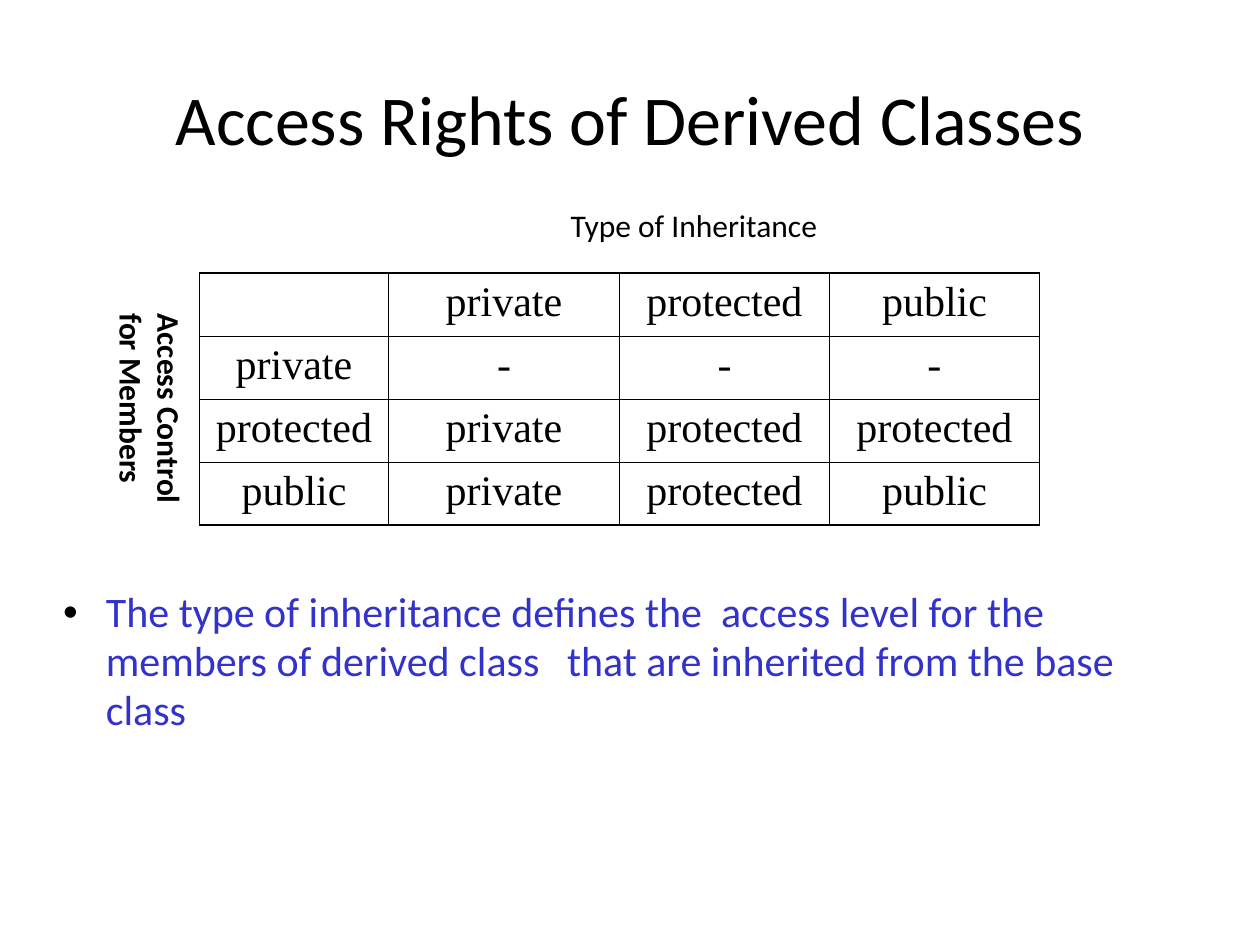
from lxml.etree import SubElement
from pptx import Presentation
from pptx.dml.color import RGBColor
from pptx.enum.text import MSO_ANCHOR as Anchor, MSO_AUTO_SIZE as AutoSize, PP_ALIGN as Align
from pptx.oxml.ns import qn
from pptx.util import Pt

BLACK = RGBColor(0x00, 0x00, 0x00)
BLUE = RGBColor(0x33, 0x33, 0xCC)
INNER, OUTER = 0.45, 1.08

ACCESS_RIGHTS = [
    ["", "private", "protected", "public"],
    ["private", "-", "-", "-"],
    ["protected", "private", "protected", "protected"],
    ["public", "private", "protected", "public"],
]


class SlideBuilder:
    sans = "Calibri"
    serif = "Times New Roman"

    def __init__(self, slide):
        self.slide = slide

    def style(self, paragraph, font, size, color=BLACK, bold=False):
        for run in paragraph.runs:
            run.font.name = font
            run.font.size = Pt(size)
            run.font.bold = bold
            run.font.color.rgb = color

    def text(self, content, box, size, color=BLACK, bold=False, insets=(7.2, 3.6, 7.2, 3.6), wrap=True):
        frame = self.slide.shapes.add_textbox(*map(Pt, box)).text_frame
        frame.word_wrap = wrap
        frame.auto_size = AutoSize.NONE if wrap else AutoSize.SHAPE_TO_FIT_TEXT
        frame.margin_left, frame.margin_top, frame.margin_right, frame.margin_bottom = map(Pt, insets)
        frame.text = content
        for paragraph in frame.paragraphs:
            self.style(paragraph, self.sans, size, color, bold)
        return frame

    def title(self, content, box):
        frame = self.text(content, box, 40, insets=(6.5, 3.6, 6.5, 3.6))
        frame.vertical_anchor = Anchor.MIDDLE
        frame.paragraphs[0].alignment = Align.CENTER
        frame.paragraphs[0].line_spacing = 0.97

    def vertical_label(self, content, box):
        frame = self.text(content, box, 18, bold=True, insets=(3.6, 7.2, 3.6, 7.2), wrap=False)
        frame._txBody.bodyPr.set("vert", "eaVert")

    def bullet(self, content, box, indent, tab):
        paragraph = self.text(content, box, 24, BLUE, insets=(0, 12.24, 0, 0)).paragraphs[0]
        paragraph.line_spacing = 0.97
        paragraph.space_after = Pt(12.9)
        props = paragraph._p.get_or_add_pPr()
        props.set("marL", str(Pt(indent)))
        props.set("indent", str(-Pt(indent)))
        SubElement(SubElement(props, qn("a:buClr")), qn("a:srgbClr"), val=str(BLACK))
        SubElement(props, qn("a:buFont"), typeface="Arial")
        SubElement(props, qn("a:buChar"), char="•")
        SubElement(SubElement(props, qn("a:tabLst")), qn("a:tab"), pos=str(Pt(tab)), algn="l")

    def border(self, cell, side, width):
        line = SubElement(cell._tc.get_or_add_tcPr(), qn(f"a:ln{side}"), w=str(Pt(width)))
        SubElement(SubElement(line, qn("a:solidFill")), qn("a:srgbClr"), val=str(BLACK))

    def table(self, rows, left, top, widths, row_height):
        last_row, last_col = len(rows) - 1, len(widths) - 1
        area = (left, top, sum(widths), row_height * len(rows))
        grid = self.slide.shapes.add_table(len(rows), len(widths), *map(Pt, area)).table
        grid.first_row = grid.horz_banding = False
        for column, width in zip(grid.columns, widths):
            column.width = Pt(width)
        for r, row in enumerate(rows):
            grid.rows[r].height = Pt(row_height)
            for c, label in enumerate(row):
                cell = grid.cell(r, c)
                cell.text_frame.text = label
                paragraph = cell.text_frame.paragraphs[0]
                paragraph.alignment = Align.CENTER
                paragraph.space_before = Pt(6)
                self.style(paragraph, self.serif, 24)
                edges = {"L": c == 0, "R": c == last_col, "T": r == 0, "B": r == last_row}
                for side, is_outer in edges.items():
                    self.border(cell, side, OUTER if is_outer else INNER)
                cell.fill.background()


def main():
    deck = Presentation()
    deck.slide_width, deck.slide_height = Pt(720), Pt(540)
    builder = SlideBuilder(deck.slides.add_slide(deck.slide_layouts[6]))
    builder.title("Access Rights of Derived Classes", (54, 30, 612, 78))
    builder.bullet(
        "The type of inheritance defines the  access level for the "
        "members of derived class\tthat are inherited from the base class",
        (36, 324, 630, 198), indent=24.5, tab=261.4)
    builder.table(ACCESS_RIGHTS, 114, 156, (108, 132, 120, 120), 36)
    builder.text("Type of Inheritance", (319, 114, 178, 29), 18, wrap=False)
    builder.vertical_label("Access Control\nfor Members", (54, 172, 57.6, 139))
    deck.save("out.pptx")


if __name__ == "__main__":
    main()
